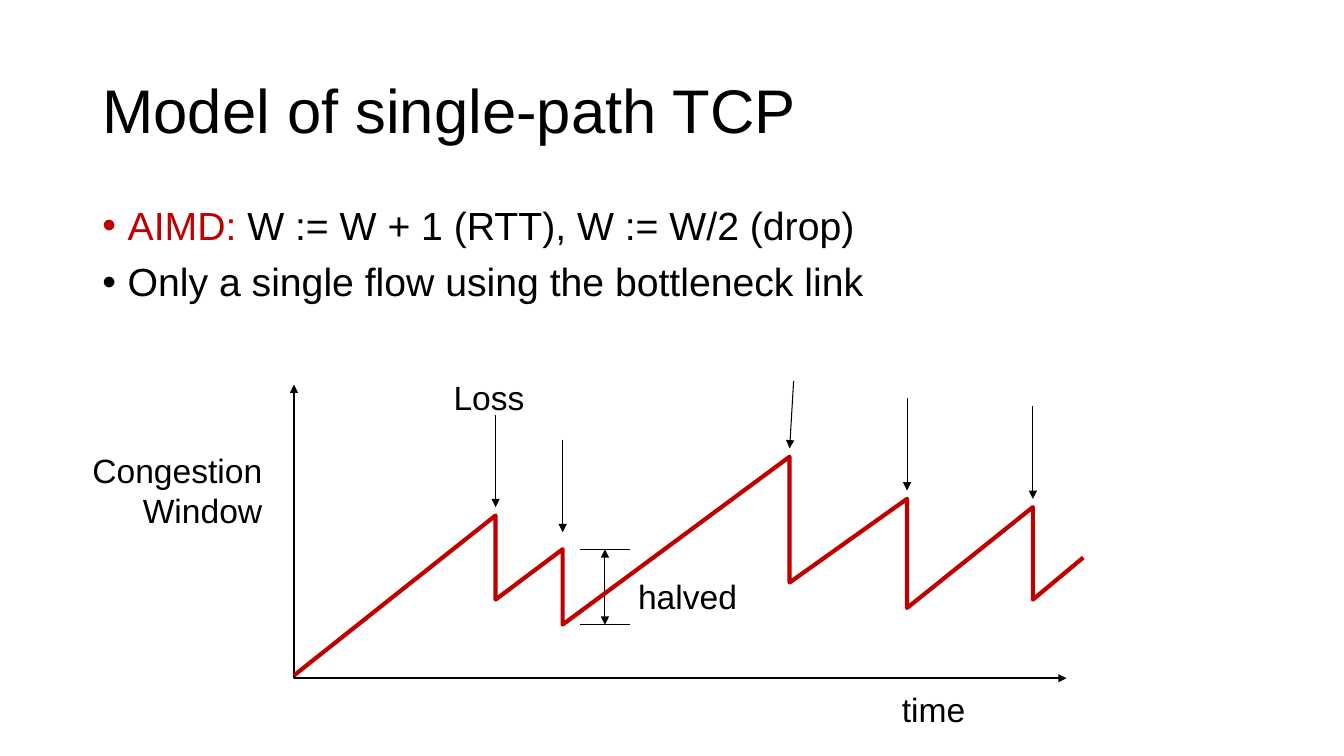
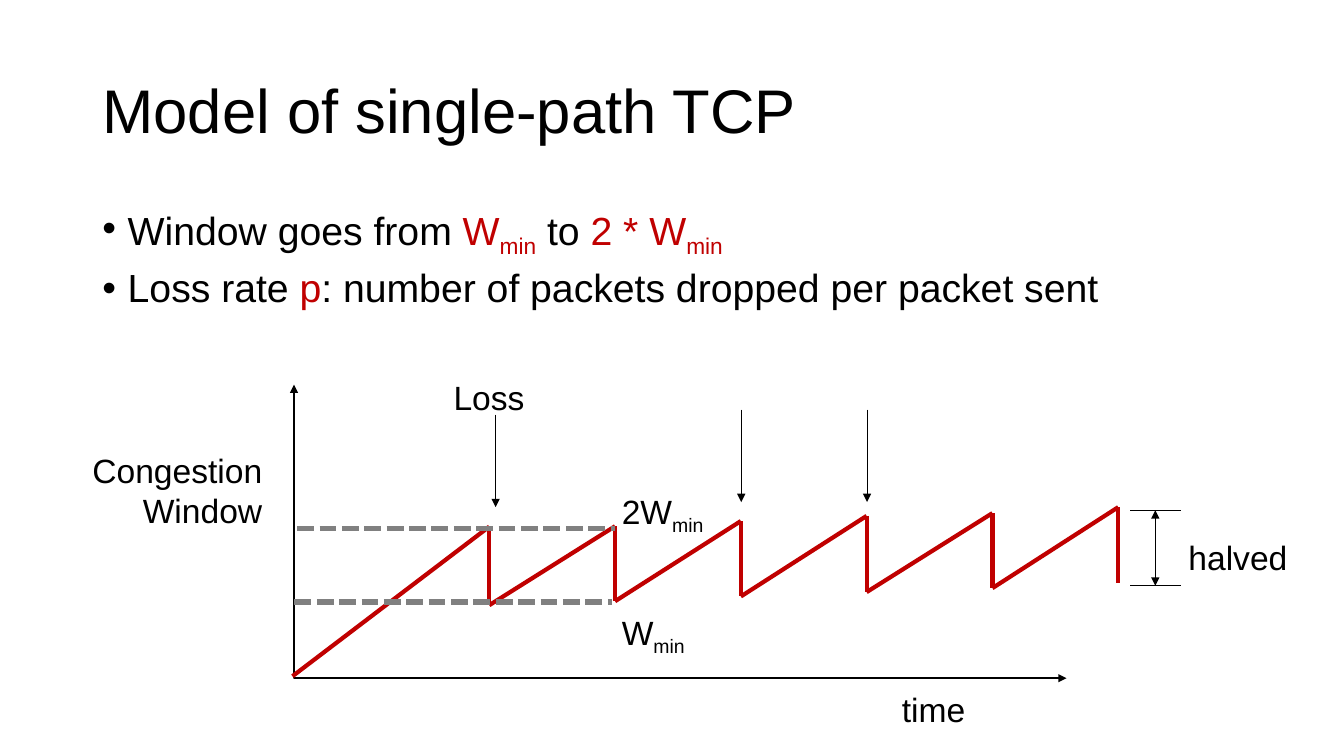
from itertools import pairwise

from lxml import etree
from pptx import Presentation
from pptx.dml.color import RGBColor
from pptx.enum.dml import MSO_LINE
from pptx.enum.shapes import MSO_CONNECTOR
from pptx.enum.text import MSO_ANCHOR, MSO_AUTO_SIZE, PP_ALIGN
from pptx.oxml.ns import qn
from pptx.util import Cm, Pt

BLACK = RGBColor(0x00, 0x00, 0x00)
RED = RGBColor(0xC0, 0x00, 0x00)
GREY = RGBColor(0x80, 0x80, 0x80)
FONT = "Arial"
STRAIGHT = MSO_CONNECTOR.STRAIGHT
DASHED = MSO_LINE.SQUARE_DOT
TOP, MIDDLE = MSO_ANCHOR.TOP, MSO_ANCHOR.MIDDLE
LEFT, RIGHT = PP_ALIGN.LEFT, PP_ALIGN.RIGHT
FIT_SHAPE, NO_FIT = MSO_AUTO_SIZE.SHAPE_TO_FIT_TEXT, MSO_AUTO_SIZE.NONE

TITLE = "Model of single-path TCP"
LABEL_SIZE = 24
LABEL_HEIGHT = 1.27
AXES = [(7.41, 9.69), (7.41, 17.09), (26.88, 17.09)]
ARROW_LENGTH = 2.33
HALVING_HEIGHT = 1.9
TICK_WIDTH = 1.27
WINDOW_WIDTH = 3


def add_bullet(paragraph):
    properties = paragraph._p.get_or_add_pPr()
    indent = Cm(0.64)
    properties.set("marL", str(indent))
    properties.set("indent", str(-indent))
    etree.SubElement(properties, qn("a:buFont"), typeface=FONT)
    etree.SubElement(properties, qn("a:buChar"), char="•")


def add_text(slide, paragraphs, left, top, width, height, *, size=LABEL_SIZE,
             align=LEFT, anchor=TOP, wrap=False, fit=FIT_SHAPE, bullets=False,
             line_spacing=None, space_before=0):
    """Each paragraph is a list of runs: a string, or (text, colour, is_subscript)."""
    box = slide.shapes.add_textbox(Cm(left), Cm(top), Cm(width), Cm(height))
    frame = box.text_frame
    frame.word_wrap = wrap
    frame.auto_size = fit
    frame.vertical_anchor = anchor
    for index, runs in enumerate(paragraphs):
        paragraph = frame.add_paragraph() if index else frame.paragraphs[0]
        if bullets:
            add_bullet(paragraph)
        paragraph.alignment = align
        if line_spacing:
            paragraph.line_spacing = line_spacing
        if index and space_before:
            paragraph.space_before = Pt(space_before)
        for part in runs:
            text, color, subscript = (part, BLACK, False) if isinstance(part, str) else part
            run = paragraph.add_run()
            run.text = text
            run.font.name = FONT
            run.font.size = Pt(size)
            run.font.color.rgb = color
            if subscript:
                run._r.get_or_add_rPr().set("baseline", "-25000")


def style_line(shape, color, width, head=False, tail=False):
    shape.line.color.rgb = color
    shape.line.width = Pt(width)
    outline = shape.element.spPr.find(qn("a:ln"))
    for tag, wanted in (("a:headEnd", head), ("a:tailEnd", tail)):
        if wanted:
            etree.SubElement(outline, qn(tag), type="triangle")


def add_line(slide, start, end, color=BLACK, width=0.75, dash=None, **arrowheads):
    line = slide.shapes.add_connector(STRAIGHT, *map(Cm, start + end))
    style_line(line, color, width, **arrowheads)
    if dash:
        line.line.dash_style = dash
    etree.SubElement(line.element.spPr, qn("a:effectLst"))


def add_polyline(slide, points, color, width, **arrowheads):
    first, *rest = [(Cm(x), Cm(y)) for x, y in points]
    builder = slide.shapes.build_freeform(*first)
    builder.add_line_segments(rest, close=False)
    polyline = builder.convert_to_shape()
    polyline.fill.background()
    polyline.shadow.inherit = False
    style_line(polyline, color, width, **arrowheads)


def add_halving(slide, left, top):
    """Two ticks with a double arrow between them, and the label beside it."""
    bottom = top + HALVING_HEIGHT
    middle = left + TICK_WIDTH / 2
    for y in (bottom, top):
        add_line(slide, (left, y), (left + TICK_WIDTH, y))
    add_line(slide, (middle, top), (middle, bottom), head=True, tail=True)
    add_text(slide, [["halved"]], left + 1.22, top + 0.54, 3.05, LABEL_HEIGHT)


def add_loss_arrows(slide, starts):
    for x, y in starts:
        add_line(slide, (x, y), (x, y + ARROW_LENGTH), tail=True)


def add_model_slide(presentation, bullets, losses, halving):
    slide = presentation.slides.add_slide(presentation.slide_layouts[6])
    add_text(slide, [[TITLE]], 2.33, 1.01, 29.21, 3.68, size=44, anchor=MIDDLE,
             wrap=True, fit=NO_FIT, line_spacing=0.9)
    add_text(slide, bullets, 2.33, 5.08, 29.21, 12.09, size=28, wrap=True,
             fit=NO_FIT, bullets=True, line_spacing=0.9, space_before=10)
    add_polyline(slide, AXES, BLACK, 1.5, head=True, tail=True)
    add_text(slide, [["Congestion"], ["Window"]], 2.01, 11.2, 4.85, 2.31, align=RIGHT)
    add_halving(slide, *halving)
    add_loss_arrows(slide, losses)
    add_text(slide, [["Loss"]], 11.18, 9.37, 2.31, LABEL_HEIGHT)
    add_text(slide, [["time"]], 22.48, 17.23, 2.13, LABEL_HEIGHT)
    return slide


def add_irregular_losses(presentation):
    bullets = [
        [("AIMD: ", RED, False), "W := W + 1 (RTT), W := W/2 (drop)"],
        ["Only a single flow using the bottleneck link"],
    ]
    losses = [(12.49, 10.45), (14.18, 11.08), (22.86, 10.03), (26.03, 10.24)]
    slide = add_model_slide(presentation, bullets, losses, (14.61, 13.84))
    add_line(slide, (20, 9.6), (19.9, 11.3), tail=True)
    window = [(7.41, 17.02), (12.49, 12.99), (12.49, 15.11), (14.18, 13.84),
              (14.18, 15.74), (19.9, 11.51), (19.9, 14.68), (22.86, 12.57),
              (22.86, 15.32), (26.03, 12.78), (26.03, 15.11), (27.3, 14.05)]
    add_polyline(slide, window, RED, WINDOW_WIDTH)


def add_regular_losses(presentation):
    bullets = [
        ["Window goes from ", ("W", RED, False), ("min", RED, True), " to ",
         ("2 * W", RED, False), ("min", RED, True)],
        ["Loss rate ", ("p", RED, False), ": number of packets dropped per packet sent"],
    ]
    losses = [(12.49, 10.45), (18.68, 10.32), (21.85, 10.32)]
    slide = add_model_slide(presentation, bullets, losses, (28.48, 12.86))
    window = [(7.37, 17.04)]
    teeth = [(13.27, 15.25), (13.26, 15.15), (13.13, 15.03),
             (13.0, 14.92), (12.93, 14.82), (12.78, 14.7)]
    for tooth, (peak, trough) in enumerate(teeth):
        x = 12.33 + 3.17 * tooth
        window += [(x, peak), (x, trough)]
    for start, end in pairwise(window):
        add_line(slide, start, end, RED, WINDOW_WIDTH)
    for factor, top in (("W", 15.29), ("2W", 12.24)):
        add_text(slide, [[factor, ("min", BLACK, True)]], 15.42, top, 3.1, 1.32, wrap=True)
    for left, y in ((7.42, 15.17), (7.49, 13.32)):
        add_line(slide, (left, y), (left + 8, y), GREY, 4, DASHED)


def main():
    presentation = Presentation()
    presentation.slide_width = Cm(33.87)
    presentation.slide_height = Cm(19.05)
    add_irregular_losses(presentation)
    add_regular_losses(presentation)
    presentation.save("out.pptx")


if __name__ == "__main__":
    main()
